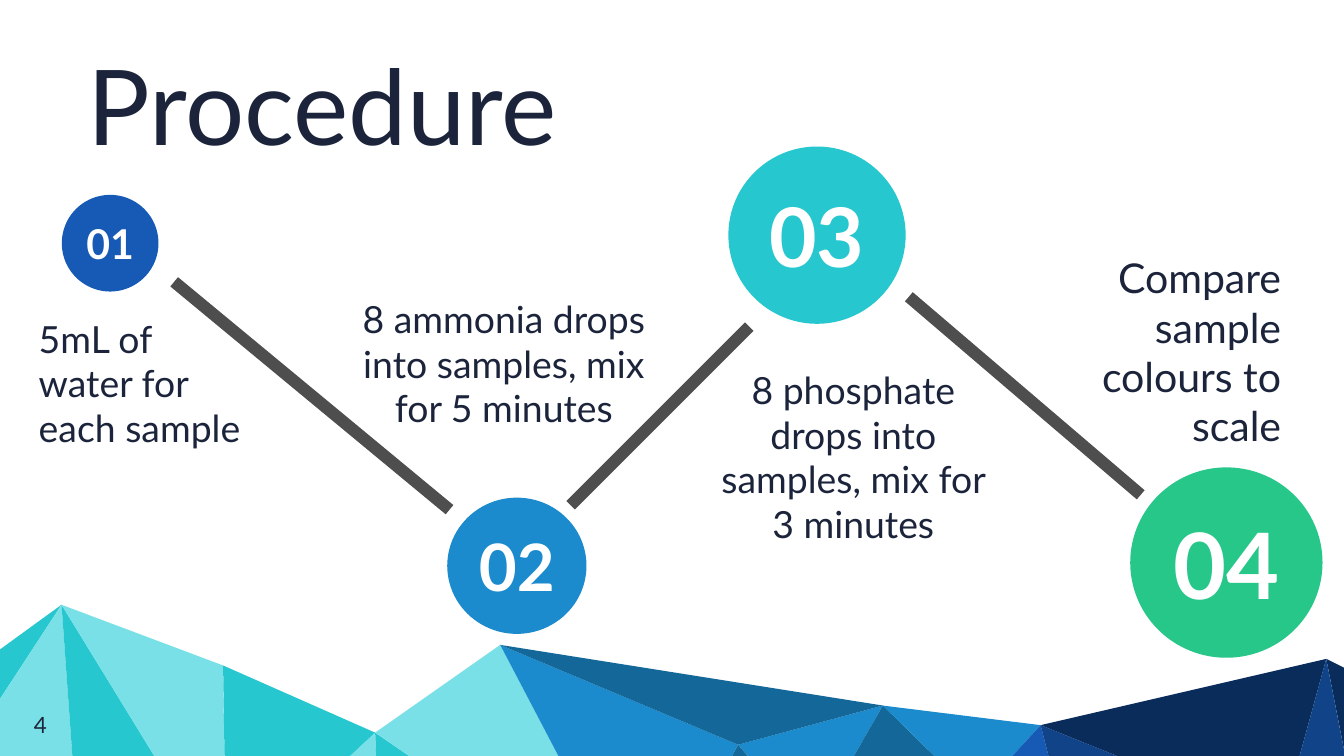
from pptx import Presentation
from pptx.dml.color import RGBColor
from pptx.enum.shapes import MSO_SHAPE
from pptx.enum.text import MSO_ANCHOR, MSO_AUTO_SIZE, PP_ALIGN
from pptx.util import Pt

FONT = "Lato"
INK, WHITE, BAR_GREY = "1B243B", "FFFFFF", "4E4E4E"
TEAL, PALE_TEAL, BLUE, DARK_BLUE = "27C7CF", "78E0E6", "1B8BCD", "146899"
ROYAL, NAVY, DEEP_NAVY, GREEN = "165AB6", "104388", "0A2C5B", "27C78A"

# Corners shared by the facets of the mountain range
PEAK_1, RIDGE_1, VALLEY_1 = (33, 324), (119.5, 356.5), (201, 392.5)
PEAK_2, HOLLOW, PEAK_3 = (268, 345.5), (395.5, 399), (473, 378)
VALLEY_2, PEAK_4, SLOPE = (557.5, 388.5), (710.5, 353), (686.5, 440.5)
DIP_1, DIP_2 = (434.5, 445), (522.5, 426.5)
LEFT_TOP, LEFT_MID, LEFT_FOOT = (0, 348), (0, 374.5), (-0.5, 449.5)
RIGHT_TOP, RIGHT_MID, RIGHT_FOOT = (723.5, 359.5), (723.5, 419.5), (723.5, 451.5)
FOOT_1, FOOT_2, FOOT_3, FOOT_4 = [(x, 449.5) for x in (42, 110, 121, 140)]
FOOT_5, FOOT_6, FOOT_7 = [(x, 449.5) for x in (203.5, 284, 322.5)]
FOOT_8, FOOT_9 = [(x, 450) for x in (368, 424)]
FOOT_10, FOOT_11, FOOT_12, FOOT_13 = [(x, 451.5) for x in (548, 573.5, 659.5, 702)]

FACETS = [
    (TEAL, [PEAK_1, LEFT_TOP, LEFT_MID]),
    (PALE_TEAL, [FOOT_1, PEAK_1, LEFT_MID, LEFT_FOOT]),
    (TEAL, [FOOT_2, PEAK_1, FOOT_1]),
    (PALE_TEAL, [FOOT_3, RIDGE_1, PEAK_1, FOOT_2]),
    (TEAL, [FOOT_4, VALLEY_1, RIDGE_1, FOOT_3]),
    (PALE_TEAL, [FOOT_5, VALLEY_1, FOOT_4]),
    (TEAL, [FOOT_6, VALLEY_1, FOOT_5]),
    (PALE_TEAL, [FOOT_7, PEAK_2, VALLEY_1, FOOT_6]),
    (BLUE, [FOOT_8, HOLLOW, PEAK_2, FOOT_7]),
    (BLUE, [HOLLOW, DIP_1, PEAK_3]),
    (DARK_BLUE, [DIP_1, DIP_2, PEAK_3]),
    (BLUE, [PEAK_3, DIP_2, VALLEY_2]),
    (ROYAL, [FOOT_11, VALLEY_2, DIP_2, FOOT_10]),
    (DEEP_NAVY, [VALLEY_2, SLOPE, PEAK_4]),
    (NAVY, [FOOT_12, SLOPE, VALLEY_2, FOOT_11]),
    (DEEP_NAVY, [RIGHT_TOP, PEAK_4, RIGHT_MID]),
    (NAVY, [RIGHT_FOOT, RIGHT_MID, PEAK_4, SLOPE, FOOT_13]),
    (DARK_BLUE, [PEAK_2, PEAK_3, HOLLOW]),
    (DARK_BLUE, [FOOT_9, DIP_1, HOLLOW, FOOT_8]),
]

# left, top, length, rotation
BARS = [
    (71.3, 208.8, 191.5, 39.6),
    (285.8, 219.6, 135.4, 135),
    (467.3, 208.8, 163.4, 40.5),
]

# number, left, top, width, height, colour, text size
CIRCLES = [
    ("01", 33.1, 104.4, 51.8, 51.8, ROYAL, 22),
    ("02", 239.6, 266.6, 74.6, 73, BLUE, 35),
    ("03", 390.2, 78.5, 95, 95, TEAL, 44),
    ("04", 605.5, 250.4, 103, 102, GREEN, 49),
]

# text, left, top, width, height, alignment, size, side inset, top inset
TEXTS = [
    ("5mL of\nwater for each sample", 13.7, 162, 131.8, 88.6, PP_ALIGN.LEFT, 20, 7.2, 7.2),
    ("8 ammonia drops into samples, mix for 5 minutes",
     187.2, 157, 165.6, 110.9, PP_ALIGN.CENTER, 20, 3, 1.5),
    ("8 phosphate drops into samples, mix for 3 minutes",
     374.4, 189.4, 165.6, 124.6, PP_ALIGN.CENTER, 20, 7.2, 7.2),
    ("Compare sample colours to scale",
     561.6, 128.2, 131.8, 88.6, PP_ALIGN.RIGHT, 22, 7.2, 7.2),
    ("4", 0, 373.7, 43.2, 31, PP_ALIGN.CENTER, 12, 7.2, 7.2),
]


def rgb(color):
    return RGBColor.from_string(color)


def paint(sp, color):
    sp.fill.solid()
    sp.fill.fore_color.rgb = rgb(color)
    sp.line.fill.background()
    sp.shadow.inherit = False


def write(sp, text, size, color=INK, align=PP_ALIGN.LEFT, bold=False,
          anchor=MSO_ANCHOR.TOP, inset_x=0, inset_y=0, wrap=True):
    tf = sp.text_frame
    tf.text = text
    tf.word_wrap = wrap
    tf.auto_size = MSO_AUTO_SIZE.NONE
    tf.vertical_anchor = anchor
    tf.margin_left = tf.margin_right = Pt(inset_x)
    tf.margin_top = tf.margin_bottom = Pt(inset_y)
    for p in tf.paragraphs:
        p.alignment = align
        for r in p.runs:
            r.font.name = FONT
            r.font.size = Pt(size)
            r.font.bold = bold
            r.font.color.rgb = rgb(color)


def add_title(s, text):
    sp = s.shapes.title
    sp.left, sp.top, sp.width, sp.height = Pt(43.9), Pt(20.2), Pt(263.5), Pt(38.9)
    write(sp, text, 56, inset_x=3, inset_y=1.5)


def add_facet(s, color, corners):
    start, *rest = [(Pt(x), Pt(y)) for x, y in corners]
    builder = s.shapes.build_freeform(*start)
    builder.add_line_segments(rest, close=True)
    paint(builder.convert_to_shape(), color)


def add_bar(s, left, top, length, rotation):
    sp = s.shapes.add_shape(MSO_SHAPE.RECTANGLE, Pt(left), Pt(top), Pt(length), Pt(6.5))
    sp.rotation = rotation
    paint(sp, BAR_GREY)


def add_circle(s, number, left, top, width, height, color, size):
    sp = s.shapes.add_shape(MSO_SHAPE.OVAL, Pt(left), Pt(top), Pt(width), Pt(height))
    paint(sp, color)
    write(sp, number, size, WHITE, PP_ALIGN.CENTER, True, MSO_ANCHOR.MIDDLE, wrap=False)


def add_text(s, text, left, top, width, height, align, size, inset_x, inset_y):
    sp = s.shapes.add_textbox(Pt(left), Pt(top), Pt(width), Pt(height))
    write(sp, text, size, align=align, inset_x=inset_x, inset_y=inset_y)


def main():
    prs = Presentation()
    prs.slide_width, prs.slide_height = Pt(720), Pt(405)
    s = prs.slides.add_slide(prs.slide_layouts[5])
    for facet in FACETS:
        add_facet(s, *facet)
    add_title(s, "Procedure")
    for bar in BARS:
        add_bar(s, *bar)
    for circle in CIRCLES:
        add_circle(s, *circle)
    for text in TEXTS:
        add_text(s, *text)
    prs.save("out.pptx")


if __name__ == "__main__":
    main()
